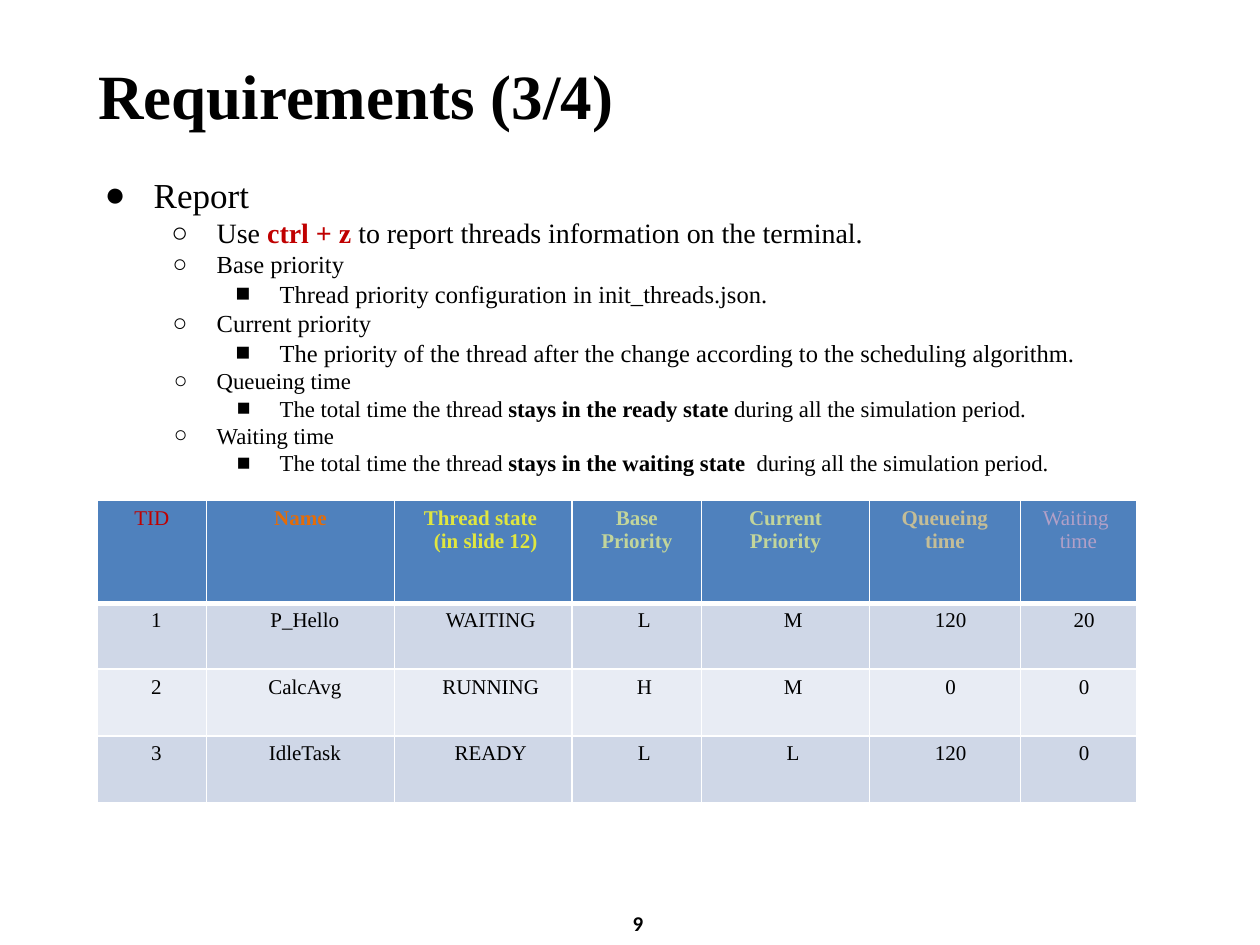
import dataclasses

import lxml.etree
import pptx
import pptx.dml.color
import pptx.enum.text
import pptx.oxml.ns
import pptx.util

Inches = pptx.util.Inches
Pt = pptx.util.Pt
qn = pptx.oxml.ns.qn


@dataclasses.dataclass(frozen=True)
class Theme:
    """Colours, fonts and type sizes of the slide."""

    font: str = "Times New Roman"
    number_font: str = "Calibri"
    ink: str = "000000"
    accent: str = "C00000"
    border: str = "FFFFFF"
    header_fill: str = "4F81BD"
    bands: tuple = ("CFD7E7", "E8ECF4")
    title: int = 36
    topic: int = 20
    lead: int = 16
    detail: int = 14
    small: int = 13
    table: int = 12


THEME = Theme()

REPORT = (
    (0, THEME.topic, 0.39, [("Report", {})]),
    (1, THEME.lead, 0.36, [
        ("Use", {}),
        (" ctrl + z", {"bold": True, "color": THEME.accent}),
        (" to report threads information on the terminal.", {}),
    ]),
    (1, THEME.detail, 0.35, [("Base priority", {})]),
    (2, THEME.detail, 0.35, [("Thread priority configuration in init_threads.json.", {})]),
    (1, THEME.detail, 0.35, [("Current priority", {})]),
    (2, THEME.detail, 0.35, [
        ("The priority of the thread after the change according to the scheduling algorithm.", {}),
    ]),
    (1, THEME.small, 0.34, [("Queueing time", {})]),
    (2, THEME.small, 0.34, [
        ("The total time the thread ", {}),
        ("stays in the ready state ", {"bold": True}),
        ("during all the simulation period.", {}),
    ]),
    (1, THEME.small, 0.34, [("Waiting time", {})]),
    (2, THEME.small, 0.34, [
        ("The total time the thread ", {}),
        ("stays in the waiting state  ", {"bold": True}),
        ("during all the simulation period.", {}),
    ]),
)
BULLETS = "●○■"

COLUMNS = (
    ("TID", "C00000", False, 0.87, 0.07),
    ("Name", "E36C09", True, 1.49, 0.07),
    ("Thread state \n (in slide 12)", "E0E640", True, 1.41, 0.12),
    ("Base Priority", "C2D59B", True, 1.03, 0.12),
    ("Current Priority", "C2D59B", True, 1.33, 0.12),
    ("Queueing time", "C4BD97", True, 1.2, 0.09),
    ("Waiting \ntime", "B2A0C7", False, 0.92, 0.09),
)
THREADS = (
    ("1", "P_Hello", "WAITING", "L", "M", "120", "20"),
    ("2", "CalcAvg", "RUNNING", "H", "M", "0", "0"),
    ("3", "IdleTask", "READY", "L", "L", "120", "0"),
)
ROW_HEIGHTS = (0.82, 0.52, 0.53, 0.53)


def add_text(paragraph, text, *, size, color=THEME.ink, bold=False, font=THEME.font):
    """Append formatted text to a paragraph, breaking lines at newlines."""
    for index, line in enumerate(text.split("\n")):
        if index:
            paragraph.add_line_break()
        run = paragraph.add_run()
        run.text = line
        run.font.name = font
        run.font.size = Pt(size)
        run.font.bold = bold
        run.font.color.rgb = pptx.dml.color.RGBColor.from_string(color)


def set_indent(paragraph, margin, first=0):
    """Set the left margin and first-line indent, in inches."""
    properties = paragraph._p.get_or_add_pPr()
    properties.set("marL", str(Inches(margin)))
    properties.set("indent", str(Inches(first)))
    return properties


def set_bullet(properties, character):
    """Give paragraph properties a bullet in the ink colour."""
    color = lxml.etree.SubElement(properties, qn("a:buClr"))
    lxml.etree.SubElement(color, qn("a:srgbClr"), val=THEME.ink)
    lxml.etree.SubElement(properties, qn("a:buFont"), typeface=THEME.font)
    lxml.etree.SubElement(properties, qn("a:buChar"), char=character)


def set_borders(cell, top, bottom):
    """Draw the cell borders, with the top and bottom widths in points."""
    properties = cell._tc.get_or_add_tcPr()
    for side, width in (("L", 1), ("R", 1), ("T", top), ("B", bottom)):
        line = lxml.etree.SubElement(properties, qn(f"a:ln{side}"), w=str(Pt(width)))
        fill = lxml.etree.SubElement(line, qn("a:solidFill"))
        lxml.etree.SubElement(fill, qn("a:srgbClr"), val=THEME.border)


def place_frame(shape, box, top_inset=0):
    """Move a text shape to its box and return its prepared text frame."""
    shape.left, shape.top, shape.width, shape.height = map(Inches, box)
    frame = shape.text_frame
    frame.margin_left = frame.margin_right = frame.margin_bottom = 0
    frame.margin_top = Inches(top_inset)
    frame.vertical_anchor = pptx.enum.text.MSO_ANCHOR.TOP
    frame.word_wrap = True
    frame.auto_size = pptx.enum.text.MSO_AUTO_SIZE.SHAPE_TO_FIT_TEXT
    return frame


def fill_title(slide, box):
    """Write the slide title."""
    heading = place_frame(slide.shapes.title, box, 0.01).paragraphs[0]
    heading.alignment = pptx.enum.text.PP_ALIGN.LEFT
    set_indent(heading, 0.01)
    add_text(heading, "Requirements (3/4)", size=THEME.title, bold=True)


def fill_report(slide, box):
    """Write the bulleted report requirements."""
    frame = place_frame(slide.placeholders[1], box, 0.01)
    for index, (level, size, hang, pieces) in enumerate(REPORT):
        item = frame.add_paragraph() if index else frame.paragraphs[0]
        item.level = level
        item.space_before = Pt(0)
        set_bullet(set_indent(item, 0.5 * (level + 1), -hang), BULLETS[level])
        for text, style in pieces:
            add_text(item, text, size=size, **style)


def format_cell(cell, fill, insets, top, bottom):
    """Set a cell's borders, fill and insets and return its centred paragraph."""
    set_borders(cell, top, bottom)
    cell.fill.solid()
    cell.fill.fore_color.rgb = pptx.dml.color.RGBColor.from_string(fill)
    cell.margin_left = cell.margin_right = Inches(insets[0])
    cell.margin_top = cell.margin_bottom = Inches(insets[1])
    paragraph = cell.text_frame.paragraphs[0]
    paragraph.alignment = pptx.enum.text.PP_ALIGN.CENTER
    return paragraph


def add_thread_table(slide, box):
    """Add the table of example threads."""
    table = slide.shapes.add_table(len(ROW_HEIGHTS), len(COLUMNS), *map(Inches, box)).table
    for row, height in zip(table.rows, ROW_HEIGHTS):
        row.height = Inches(height)
    for column, (heading, color, bold, width, indent) in enumerate(COLUMNS):
        table.columns[column].width = Inches(width)
        label = format_cell(table.cell(0, column), THEME.header_fill, (0.1, 0.05), 1, 3)
        add_text(label, heading, size=THEME.table, color=color, bold=bold)
        for row, thread in enumerate(THREADS, 1):
            band = THEME.bands[(row - 1) % 2]
            value = format_cell(table.cell(row, column), band, (0, 0), 3 if row == 1 else 1, 1)
            value.line_spacing = 1.23 if row == 1 else 1.28
            set_indent(value, indent)
            add_text(value, thread[column], size=THEME.table)


def add_page_number(slide, box):
    """Add the page number at the foot of the slide."""
    number = place_frame(slide.shapes.add_textbox(*map(Inches, box)), box).paragraphs[0]
    number.line_spacing = 1.03
    set_indent(number, 0.04)
    add_text(number, "9", size=THEME.table, bold=True, font=THEME.number_font)


def main():
    """Build and save the slide."""
    deck = pptx.Presentation()
    deck.slide_width, deck.slide_height = Inches(10), Inches(7.5)
    slide = deck.slides.add_slide(deck.slide_layouts[1])
    fill_title(slide, (0.77, 0.44, 4.12, 0.63))
    fill_report(slide, (0.72, 1.37, 9.03, 3.16))
    add_thread_table(slide, (0.77, 3.97, 8.25, 2.4))
    add_page_number(slide, (4.98, 7.22, 0.18, 0.2))
    deck.save("out.pptx")


if __name__ == "__main__":
    main()
